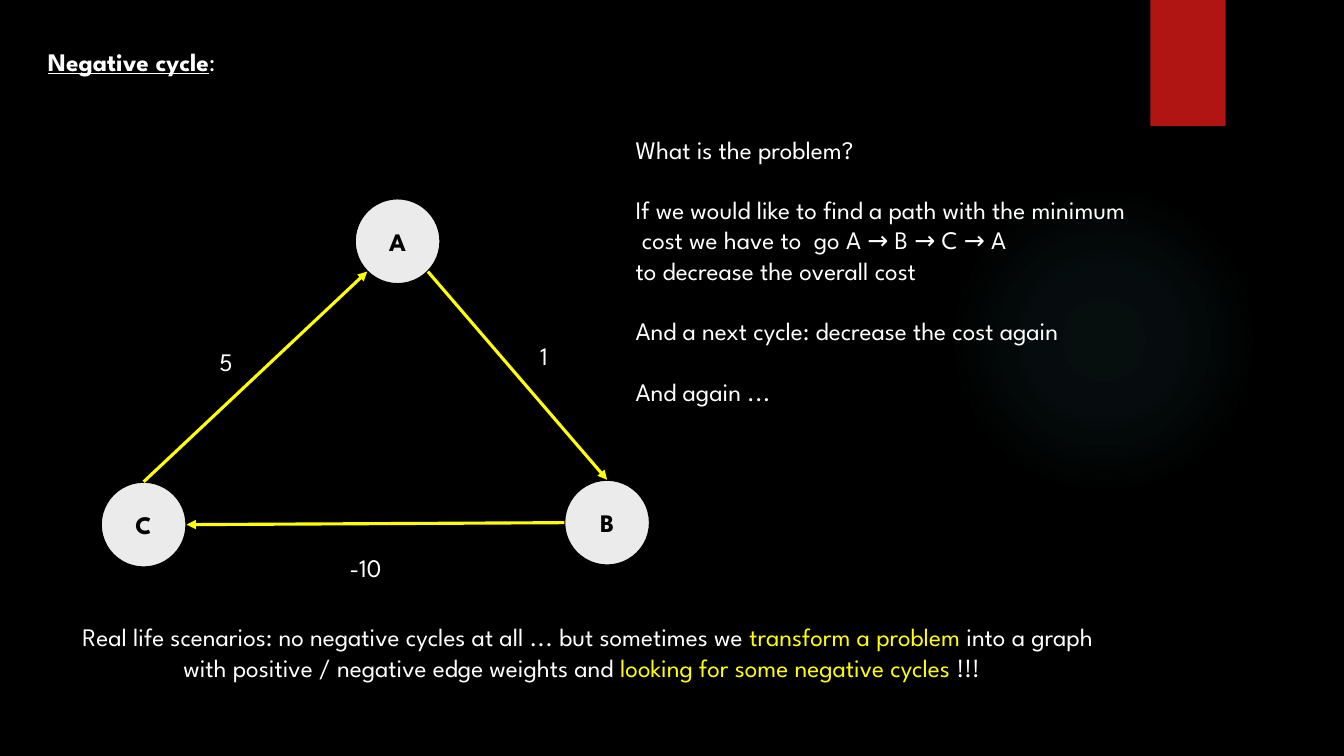
from math import cos, radians, sin

from lxml import etree
from pptx import Presentation
from pptx.dml.color import RGBColor
from pptx.enum.shapes import MSO_CONNECTOR as Connector, MSO_SHAPE as Shape
from pptx.enum.text import MSO_ANCHOR as Anchor, PP_ALIGN as Align
from pptx.oxml import parse_xml
from pptx.oxml.ns import nsdecls, qn
from pptx.util import Cm, Pt

BLACK = RGBColor(0x00, 0x00, 0x00)
WHITE = RGBColor(0xFF, 0xFF, 0xFF)
YELLOW = RGBColor(0xFF, 0xFF, 0x00)
RED = RGBColor(0xB0, 0x15, 0x13)
NODE_GREY = RGBColor(0xEB, 0xEB, 0xEB)
TEAL = RGBColor(0x50, 0xB9, 0xC1)
FONT = "League Spartan"
SIZE = Pt(18)
BLANK_LINE = Pt(21.7)

NODE_SIZE = 2.16
NODES = {"C": (2.54, 12.14), "A": (8.94, 5.0), "B": (14.22, 12.09)}
# start, angle of exit, end, angle of entry (clockwise from the right)
EDGES = [("C", 270, "A", 135), ("A", 45, "B", 270), ("B", 180, "C", 0)]
WEIGHTS = [("5", 5.28, 8.61), ("1", 13.36, 8.46), ("-10", 8.56, 13.79)]

PROBLEM_GROUPS = [
    ["What is the problem?"],
    ["If we would like to find a path with the minimum",
     " cost we have to  go A → B → C → A",
     "to decrease the overall cost"],
    ["And a next cycle: decrease the cost again"],
    ["And again ..."],
]
SCENARIO_LINES = [
    [("Real life scenarios: no negative cycles at all ... but sometimes we ", WHITE),
     ("transform a problem ", YELLOW), ("into a graph", WHITE)],
    [("with positive / negative edge weights and ", WHITE),
     ("looking for some negative cycles ", YELLOW), ("!!!", WHITE)],
]


def style(font, color=WHITE, bold=None):
    font.name, font.size, font.bold = FONT, SIZE, bold
    font.color.rgb = color


def add_text_frame(page, left, top, width, height):
    box = page.shapes.add_textbox(Cm(left), Cm(top), Cm(width), Cm(height))
    box.text_frame.word_wrap = False
    return box.text_frame


def add_paragraph(frame, index):
    """Return the first paragraph for index 0, otherwise a new one."""
    return frame.add_paragraph() if index else frame.paragraphs[0]


def add_plain_shape(page, kind, left, top, width, height, color):
    shape = page.shapes.add_shape(kind, Cm(left), Cm(top), Cm(width), Cm(height))
    shape.shadow.inherit = False
    shape.fill.solid()
    shape.fill.fore_color.rgb = color
    shape.line.fill.background()
    return shape


def add_glow(page, left, top, size):
    glow = add_plain_shape(page, Shape.OVAL, left, top, size, size, TEAL)
    stops = "".join(
        f'<a:gs pos="{place}000"><a:srgbClr val="{TEAL}">'
        f'<a:alpha val="{alpha}000"/></a:srgbClr></a:gs>'
        for place, alpha in [(0, 7), (36, 6), (69, 0)])
    gradient = parse_xml(
        f'<a:gradFill {nsdecls("a")} rotWithShape="1"><a:gsLst>{stops}</a:gsLst>'
        '<a:path path="circle"><a:fillToRect l="50000" t="50000" r="50000" b="50000"/>'
        '</a:path></a:gradFill>')
    properties = glow._element.spPr
    properties.replace(properties.find(qn("a:solidFill")), gradient)


def add_title(page, left, top, width, height):
    para = add_text_frame(page, left, top, width, height).paragraphs[0]
    style(para.font)
    name = para.add_run()
    name.text = "Negative cycle"
    name.font.bold = name.font.underline = True
    para.add_run().text = ":"


def add_node(page, label, left, top):
    node = add_plain_shape(page, Shape.OVAL, left, top, NODE_SIZE, NODE_SIZE, NODE_GREY)
    node.line.color.rgb = BLACK
    node.line.width = Pt(1.5)
    frame = node.text_frame
    frame.vertical_anchor = Anchor.MIDDLE
    para = frame.paragraphs[0]
    para.text = label
    para.alignment = Align.CENTER
    style(para.font, BLACK, True)


def rim_point(corner, angle):
    """Return the point on a node's rim at the given angle."""
    radius = NODE_SIZE / 2
    turn = radians(angle)
    return (Cm(corner[0] + radius * (1 + cos(turn))),
            Cm(corner[1] + radius * (1 + sin(turn))))


def add_arrow(page, start, end):
    arrow = page.shapes.add_connector(Connector.STRAIGHT, *start, *end)
    arrow.line.color.rgb = YELLOW
    arrow.line.width = Pt(2.25)
    etree.SubElement(arrow.line._get_or_add_ln(), qn("a:tailEnd"), type="triangle")
    etree.SubElement(arrow._element.spPr, qn("a:effectLst"))


def add_graph(page, left, top):
    """Draw the cycle, shifted by the given offset."""
    corners = {label: (left + x, top + y) for label, (x, y) in NODES.items()}
    for label, corner in corners.items():
        add_node(page, label, *corner)
    for source, leave, target, enter in EDGES:
        add_arrow(page, rim_point(corners[source], leave),
                  rim_point(corners[target], enter))
    for weight, x, y in WEIGHTS:
        width = 0.57 + 0.29 * len(weight)
        para = add_text_frame(page, left + x, top + y, width, 1.02).paragraphs[0]
        para.text = weight
        style(para.font)


def add_problem(page, left, top, width, height):
    frame = add_text_frame(page, left, top, width, height)
    lines = [(line, group > 0 and row == 0)
             for group, texts in enumerate(PROBLEM_GROUPS)
             for row, line in enumerate(texts)]
    for index, (line, after_gap) in enumerate(lines):
        para = add_paragraph(frame, index)
        para.text = line
        style(para.font)
        if after_gap:
            para.space_before = BLANK_LINE


def add_scenarios(page, left, top, width, height):
    frame = add_text_frame(page, left, top, width, height)
    for index, pieces in enumerate(SCENARIO_LINES):
        para = add_paragraph(frame, index)
        style(para.font)
        for text, color in pieces:
            span = para.add_run()
            span.text = text
            span.font.color.rgb = color
    para._p.get_or_add_pPr().set("marL", str(Cm(2.54)))


def main():
    deck = Presentation()
    deck.slide_width, deck.slide_height = Cm(33.87), Cm(19.05)
    page = deck.slides.add_slide(deck.slide_layouts[6])
    page.background.fill.solid()
    page.background.fill.fore_color.rgb = BLACK
    add_glow(page, 23.9, 4.65, 7.82)
    add_plain_shape(page, Shape.RECTANGLE, 28.99, 0, 1.9, 3.18, RED)
    add_title(page, 0.96, 1.04, 5.46, 1.02)
    add_graph(page, 0, 0)
    add_problem(page, 15.77, 3.25, 15.37, 7.19)
    add_scenarios(page, 1.83, 15.54, 31.32, 1.8)
    deck.save("out.pptx")


if __name__ == "__main__":
    main()
